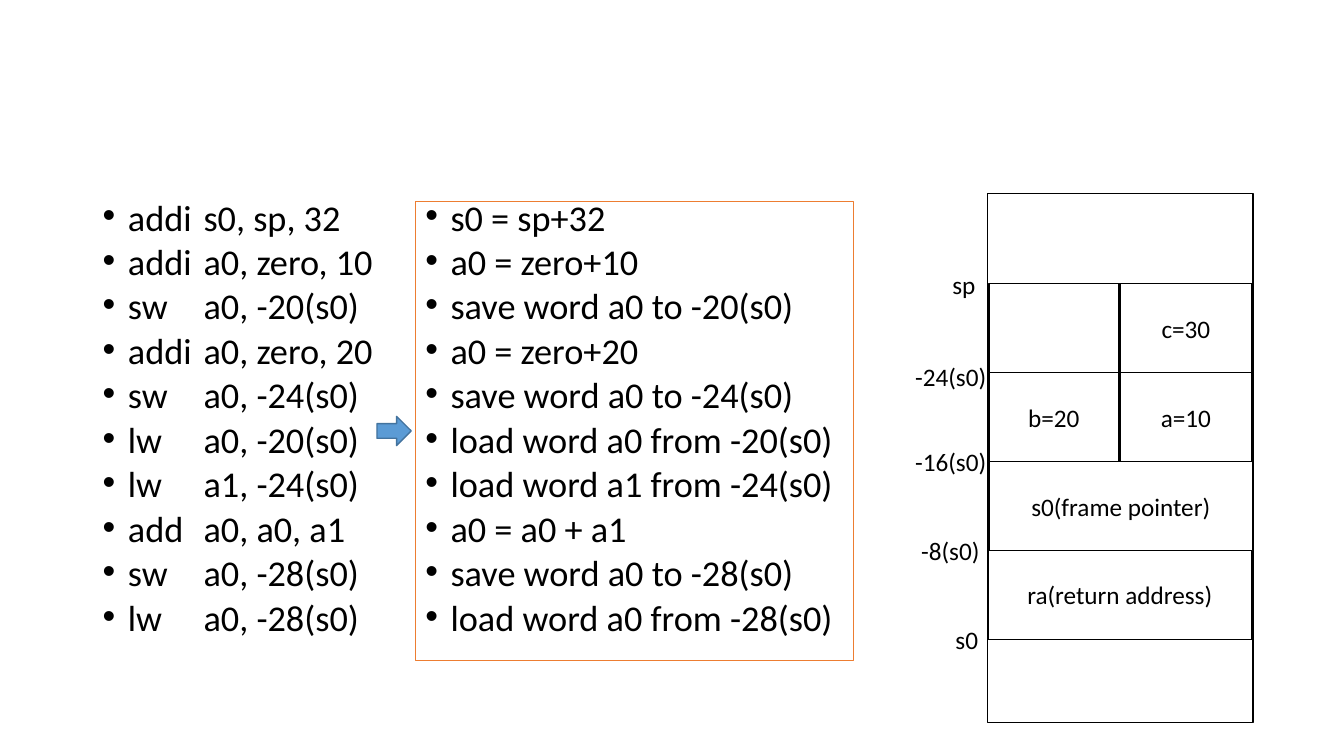
from dataclasses import dataclass

from lxml import etree
from pptx import Presentation
from pptx.dml.color import RGBColor
from pptx.enum.shapes import MSO_SHAPE
from pptx.enum.text import MSO_ANCHOR, MSO_AUTO_SIZE, PP_ALIGN
from pptx.oxml.ns import qn
from pptx.util import Pt

RECT, ARROW = MSO_SHAPE.RECTANGLE, MSO_SHAPE.RIGHT_ARROW
LEFT, CENTER = PP_ALIGN.LEFT, PP_ALIGN.CENTER
TOP, MIDDLE = MSO_ANCHOR.TOP, MSO_ANCHOR.MIDDLE
NO_FIT, GROW = MSO_AUTO_SIZE.NONE, MSO_AUTO_SIZE.SHAPE_TO_FIT_TEXT
TWO_CONTENT = 3


@dataclass(frozen=True)
class Theme:
    """Colours, font and type sizes of the slide."""
    font: str = "Calibri"
    code_size: float = 25.9
    stack_size: float = 18
    ink: str = "000000"
    paper: str = "FFFFFF"
    frame: str = "ED7D31"
    arrow: str = "5B9BD5"
    arrow_line: str = "43739E"


@dataclass(frozen=True)
class Cell:
    """A stack slot: row and position in points, with its content."""
    row: int
    left: float
    width: float
    text: str = ""


@dataclass(frozen=True)
class Label:
    """An address beside the stack."""
    text: str
    left: float
    top: float
    width: float


THEME = Theme()
ROW_TOP, ROW_PITCH, ROW_HEIGHT = 202.7, 63.5, 63.4
LABEL_HEIGHT = 29
INDENT, TAB = Pt(18), Pt(72)

INSTRUCTIONS = [
    ("addi\ts0, sp, 32", "s0 = sp+32"),
    ("addi\ta0, zero, 10", "a0 = zero+10"),
    ("sw\ta0, -20(s0)", "save word a0 to -20(s0)"),
    ("addi\ta0, zero, 20", "a0 = zero+20"),
    ("sw\ta0, -24(s0)", "save word a0 to -24(s0)"),
    ("lw\ta0, -20(s0)", "load word a0 from -20(s0)"),
    ("lw\ta1, -24(s0)", "load word a1 from -24(s0)"),
    ("add\ta0, a0, a1", "a0 = a0 + a1"),
    ("sw\ta0, -28(s0)", "save word a0 to -28(s0)"),
    ("lw\ta0, -28(s0)", "load word a0 from -28(s0)"),
]
CELLS = [
    Cell(3, 705.6, 188.6, "ra(return address)"),
    Cell(2, 706.3, 188.6, "s0(frame pointer)"),
    Cell(1, 706.3, 92.9, "b=20"),
    Cell(1, 799.9, 94.3, "a=10"),
    Cell(0, 706.3, 92.9),
    Cell(0, 799.9, 94.3, "c=30"),
]
LABELS = [
    Label("sp", 673.2, 188.6, 31),
    Label("-24(s0)", 646.6, 254.2, 66.2),
    Label("-16(s0)", 646.6, 315.4, 66.2),
    Label("-8(s0)", 650.9, 378.7, 56.9),
    Label("s0", 675.4, 442.1, 31),
]


def write(tf, lines: list[str], *, size: float, align=LEFT, anchor=TOP,
          wrap: bool = True, fit=NO_FIT) -> None:
    """Fill a text frame with one paragraph per line."""
    tf.word_wrap, tf.auto_size, tf.vertical_anchor = wrap, fit, anchor
    for i, line in enumerate(lines):
        p = tf.add_paragraph() if i else tf.paragraphs[0]
        p.alignment = align
        r = p.add_run()
        r.text = line
        r.font.name, r.font.size = THEME.font, Pt(size)
        r.font.color.rgb = RGBColor.from_string(THEME.ink)


def place(sp, left: float, top: float, width: float, height: float) -> None:
    """Set the position and size of a shape in points."""
    sp.left, sp.top, sp.width, sp.height = map(Pt, (left, top, width, height))


def code_list(sp, lines: list[str]) -> None:
    """Write tightly spaced bullets with a tab stop for operands."""
    write(sp.text_frame, lines, size=THEME.code_size)
    for p in sp.text_frame.paragraphs:
        p.line_spacing, p.space_before = 0.7, Pt(10)
        pPr = p._p.get_or_add_pPr()
        pPr.set("marL", str(INDENT))
        pPr.set("indent", str(-INDENT))
        if "\t" in p.text:
            tabs = etree.SubElement(pPr, qn("a:tabLst"))
            etree.SubElement(tabs, qn("a:tab"), pos=str(TAB), algn="l")


def add_box(slide, kind, left: float, top: float, width: float, height: float,
            *, fill: str, line: str, text: str = "") -> None:
    """Add a filled, outlined shape with optional centred text."""
    sp = slide.shapes.add_shape(kind, Pt(left), Pt(top), Pt(width), Pt(height))
    sp.shadow.inherit = False
    sp.fill.solid()
    sp.fill.fore_color.rgb = RGBColor.from_string(fill)
    sp.line.color.rgb = RGBColor.from_string(line)
    sp.line.width = Pt(1)
    if text:
        write(sp.text_frame, [text], size=THEME.stack_size, align=CENTER,
              anchor=MIDDLE)


def add_label(slide, label: Label) -> None:
    """Add an address label beside the stack."""
    sp = slide.shapes.add_textbox(Pt(label.left), Pt(label.top),
                                  Pt(label.width), Pt(LABEL_HEIGHT))
    write(sp.text_frame, [label.text], size=THEME.stack_size, wrap=False,
          fit=GROW)


def add_lists(slide) -> None:
    """Place the assembly code and its framed explanation."""
    title, code, meaning = slide.placeholders
    title.element.getparent().remove(title.element)
    place(code, 66.2, 144, 229.7, 327.6)
    place(meaning, 296.6, 144, 313.2, 327.6)
    meaning.line.color.rgb = RGBColor.from_string(THEME.frame)
    meaning.line.width = Pt(0.75)
    for sp, lines in zip((code, meaning), zip(*INSTRUCTIONS)):
        code_list(sp, lines)


def add_stack(slide) -> None:
    """Draw the stack frame, its slots and addresses."""
    colours = {"fill": THEME.paper, "line": THEME.ink}
    add_box(slide, RECT, 705.6, 138.2, 189.4, 378, **colours)
    for cell in CELLS:
        add_box(slide, RECT, cell.left, ROW_TOP + cell.row * ROW_PITCH,
                cell.width, ROW_HEIGHT, text=cell.text, **colours)
    for label in LABELS:
        add_label(slide, label)


def main() -> None:
    """Build and save the slide."""
    prs = Presentation()
    prs.slide_width, prs.slide_height = Pt(960), Pt(540)
    slide = prs.slides.add_slide(prs.slide_layouts[TWO_CONTENT])
    add_lists(slide)
    add_stack(slide)
    add_box(slide, ARROW, 269.3, 297.4, 24.5, 20.9, fill=THEME.arrow,
            line=THEME.arrow_line)
    prs.save("out.pptx")


main()
